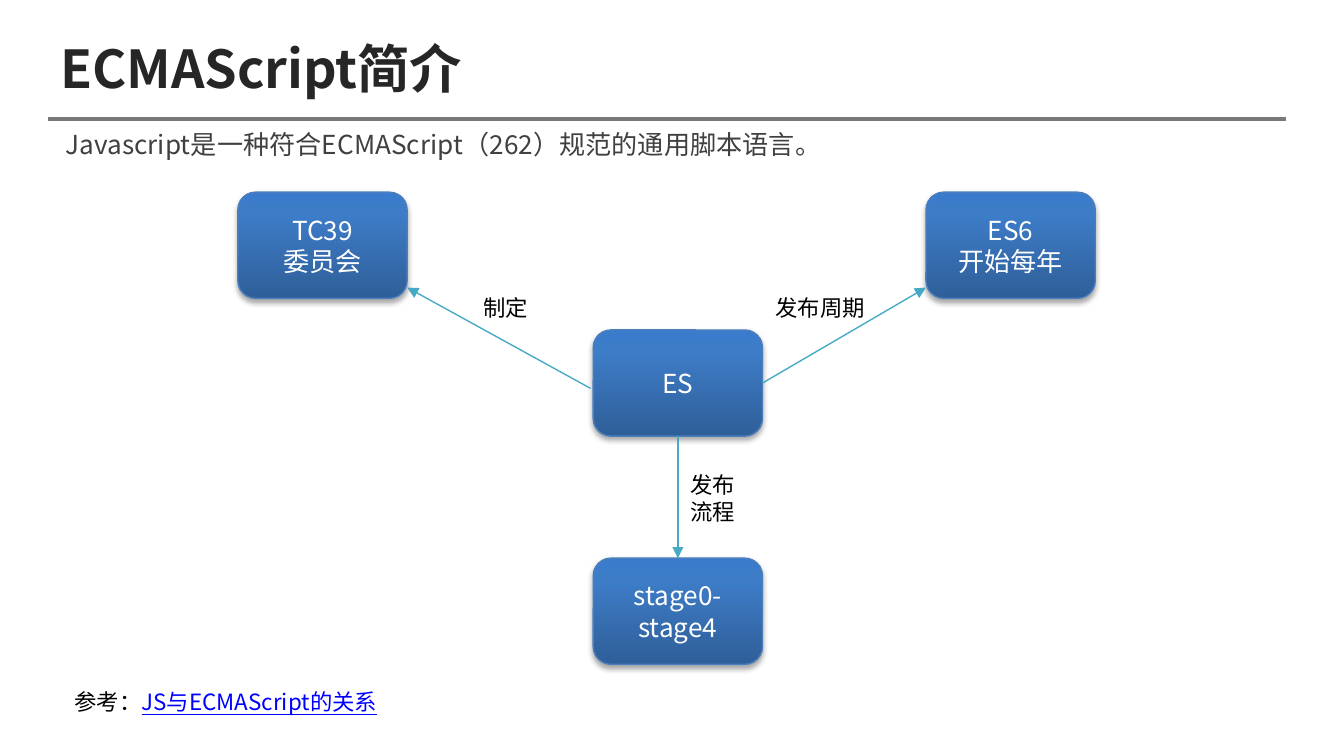
from dataclasses import dataclass
from typing import NamedTuple, Optional

from lxml.etree import SubElement
from pptx import Presentation
from pptx.dml.color import RGBColor
from pptx.enum.shapes import MSO_CONNECTOR, MSO_SHAPE
from pptx.enum.text import MSO_ANCHOR, PP_ALIGN
from pptx.oxml.ns import qn
from pptx.util import Inches, Pt

ROUND = MSO_SHAPE.ROUNDED_RECTANGLE
STRAIGHT = MSO_CONNECTOR.STRAIGHT
LEFT, CENTER = PP_ALIGN.LEFT, PP_ALIGN.CENTER
TOP, MIDDLE = MSO_ANCHOR.TOP, MSO_ANCHOR.MIDDLE
END_TOP, END_BOTTOM, END_RIGHT = 0, 2, 3

WIDE = Inches(10)
HIGH = WIDE * 9 // 16
CELL = WIDE / 100  # square grid cell: 100 columns across the slide
NODE_W, NODE_H = 12.6, 7.9


@dataclass(frozen=True)
class Theme:
    font: str = "Noto Sans CJK SC"
    title: str = "262626"
    body: str = "404040"
    text: str = "000000"
    link: str = "0000FF"
    light: str = "FFFFFF"
    rule: str = "797979"
    arrow: str = "46AAC5"
    edge: str = "4B7EBC"
    shade: tuple = ((0, "2F5F99"), (80, "3D7CC7"), (100, "3A7CCB"))
    big: float = 28
    mid: float = 14
    small: float = 12


THEME = Theme()


class Run(NamedTuple):
    text: str
    size: float = THEME.small
    color: str = THEME.text
    bold: bool = False
    under: bool = False


class Node(NamedTuple):
    name: str
    col: float
    row: float
    lines: tuple


class Arrow(NamedTuple):
    start: tuple
    end: tuple
    source: Optional[str] = None
    side: int = 0
    target: Optional[str] = None


class Note(NamedTuple):
    box: tuple
    runs: tuple


NODES = (
    Node("core", 44.14, 24.55, ("ES",)),
    Node("group", 17.7, 14.3, ("TC39", "委员会")),
    Node("cycle", 68.9, 14.3, ("ES6", "开始每年")),
    Node("stage", 44.14, 41.53, ("stage0-stage4",)),
)
ARROWS = (
    Arrow((56.74, 28.5), (68.9, 21.4), "core", END_RIGHT),
    Arrow((43.94, 28.9), (30.3, 21.4)),
    Arrow((50.44, 32.45), (50.44, 41.53), "core", END_BOTTOM, "stage"),
)
NOTES = (
    Note((3.9, 9.1, 92.1, 41.7), (
        Run("Javascript是一种符合ECMAScript（262）规范的通用脚本语言。",
            THEME.mid, THEME.body),)),
    Note((35, 21.4, 5.4, 3), (Run("制定"),)),
    Note((56.7, 21.4, 8.8, 3), (Run("发布周期"),)),
    Note((50.4, 34.6, 5.4, 5), (Run("发布流程"),)),
    Note((4.55, 50.73, 24.9, 3), (
        Run("参考："),
        Run("JS与ECMAScript的关系", color=THEME.link, under=True))),
)


def grid(*cells: float) -> list:
    """Turn grid columns or rows into slide lengths."""
    return [round(cell * CELL) for cell in cells]


def write(shape, lines, align=LEFT, anchor=TOP) -> None:
    """Fill a shape with paragraphs, each a sequence of runs."""
    frame = shape.text_frame
    frame.word_wrap = True
    frame.vertical_anchor = anchor
    for i, line in enumerate(lines):
        para = frame.add_paragraph() if i else frame.paragraphs[0]
        para.alignment = align
        for item in line:
            run = para.add_run()
            run.text = item.text
            font = run.font
            font.name, font.size = THEME.font, Pt(item.size)
            font.bold, font.underline = item.bold, item.under
            font.color.rgb = RGBColor.from_string(item.color)
            SubElement(font._element, qn("a:ea"), typeface=THEME.font)


def tint(parent, color: str):
    return SubElement(parent, qn("a:srgbClr"), val=color)


def shade(shape) -> None:
    """Give a node its upward gradient and soft shadow."""
    shape.fill.gradient()
    props = shape._element.spPr
    stops = props.find(".//" + qn("a:gsLst"))
    for stop in list(stops):
        stops.remove(stop)
    for share, color in THEME.shade:
        tint(SubElement(stops, qn("a:gs"), pos=str(share * 1000)), color)
    props.find(".//" + qn("a:lin")).set("ang", str(270 * 60000))
    shape.shadow.inherit = False
    cast = SubElement(
        props.find(qn("a:effectLst")), qn("a:outerShdw"),
        blurRad=str(Pt(3.1)), dist=str(Pt(1.8)), dir=str(90 * 60000),
        rotWithShape="0")
    SubElement(tint(cast, THEME.text), qn("a:alpha"), val="35000")


def add_node(slide, node: Node):
    shape = slide.shapes.add_shape(
        ROUND, *grid(node.col, node.row, NODE_W, NODE_H))
    shape.line.color.rgb = RGBColor.from_string(THEME.edge)
    shape.line.width = Pt(0.75)
    shade(shape)
    lines = [(Run(line, THEME.mid, THEME.light),) for line in node.lines]
    write(shape, lines, CENTER, MIDDLE)
    return shape


def add_line(slide, start: tuple, end: tuple, color: str, width: float):
    line = slide.shapes.add_connector(STRAIGHT, *grid(*start, *end))
    line.line.color.rgb = RGBColor.from_string(color)
    line.line.width = Pt(width)
    SubElement(line._element.spPr, qn("a:effectLst"))
    return line


def add_arrow(slide, arrow: Arrow, nodes: dict) -> None:
    line = add_line(slide, arrow.start, arrow.end, THEME.arrow, 0.75)
    SubElement(line.line._get_or_add_ln(), qn("a:tailEnd"), type="triangle")
    if arrow.source:
        line.begin_connect(nodes[arrow.source], arrow.side)
    if arrow.target:
        line.end_connect(nodes[arrow.target], END_TOP)


def add_title(slide, text: str) -> None:
    title = slide.shapes.title
    title.left, title.top, title.width, title.height = grid(
        3.5, 2.35, 92.1, 5.4)
    write(title, [(Run(text, THEME.big, THEME.title, True),)], LEFT, MIDDLE)


def main() -> None:
    deck = Presentation()
    deck.slide_width, deck.slide_height = WIDE, HIGH
    slide = deck.slides.add_slide(deck.slide_layouts.get_by_name("Title Only"))
    add_line(slide, (3.54, 8.84), (95.7, 8.84), THEME.rule, 2.25)
    add_title(slide, "ECMAScript简介")
    nodes = {node.name: add_node(slide, node) for node in NODES}
    for arrow in ARROWS:
        add_arrow(slide, arrow, nodes)
    for note in NOTES:
        write(slide.shapes.add_textbox(*grid(*note.box)), [note.runs])
    deck.save("out.pptx")


if __name__ == "__main__":
    main()
